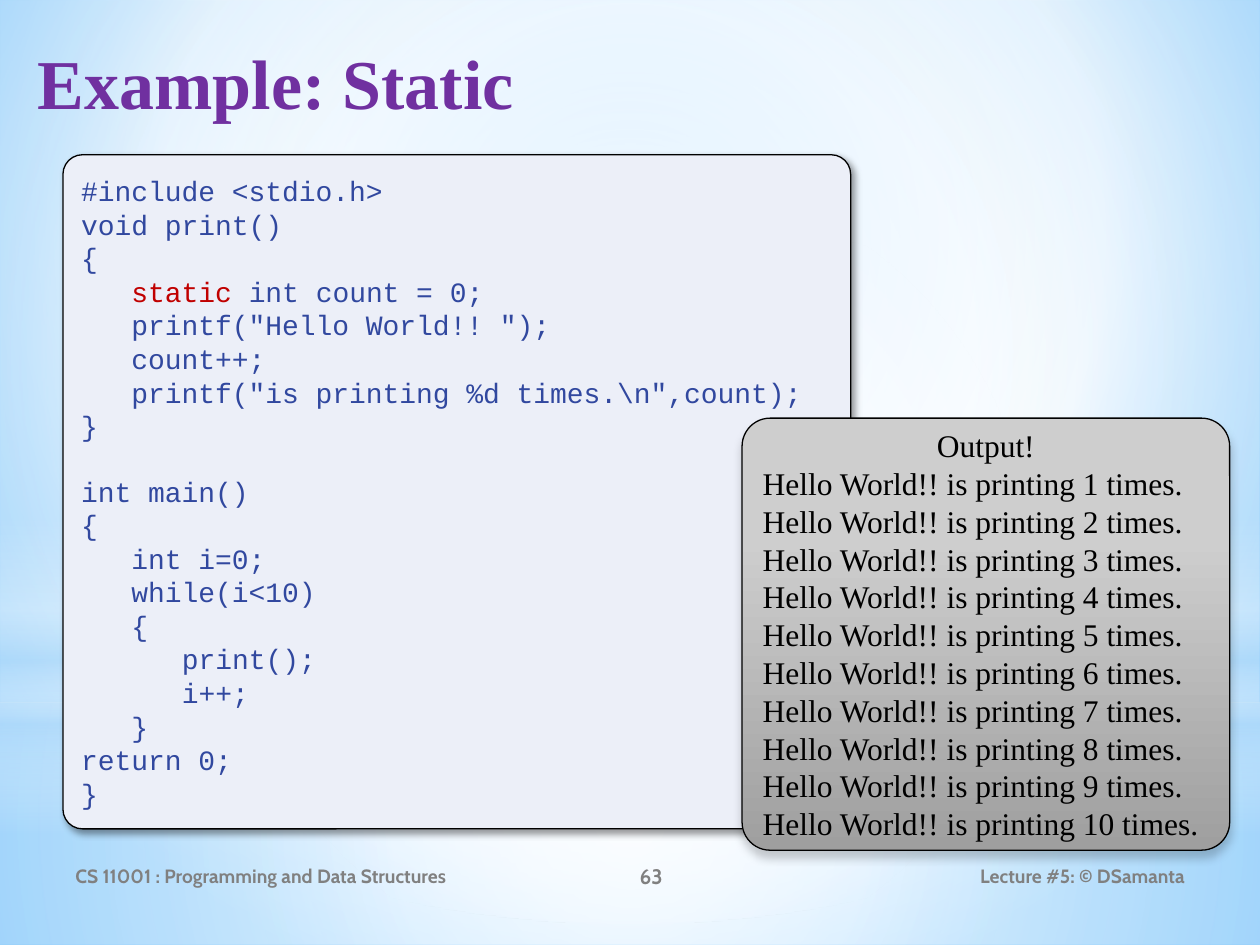
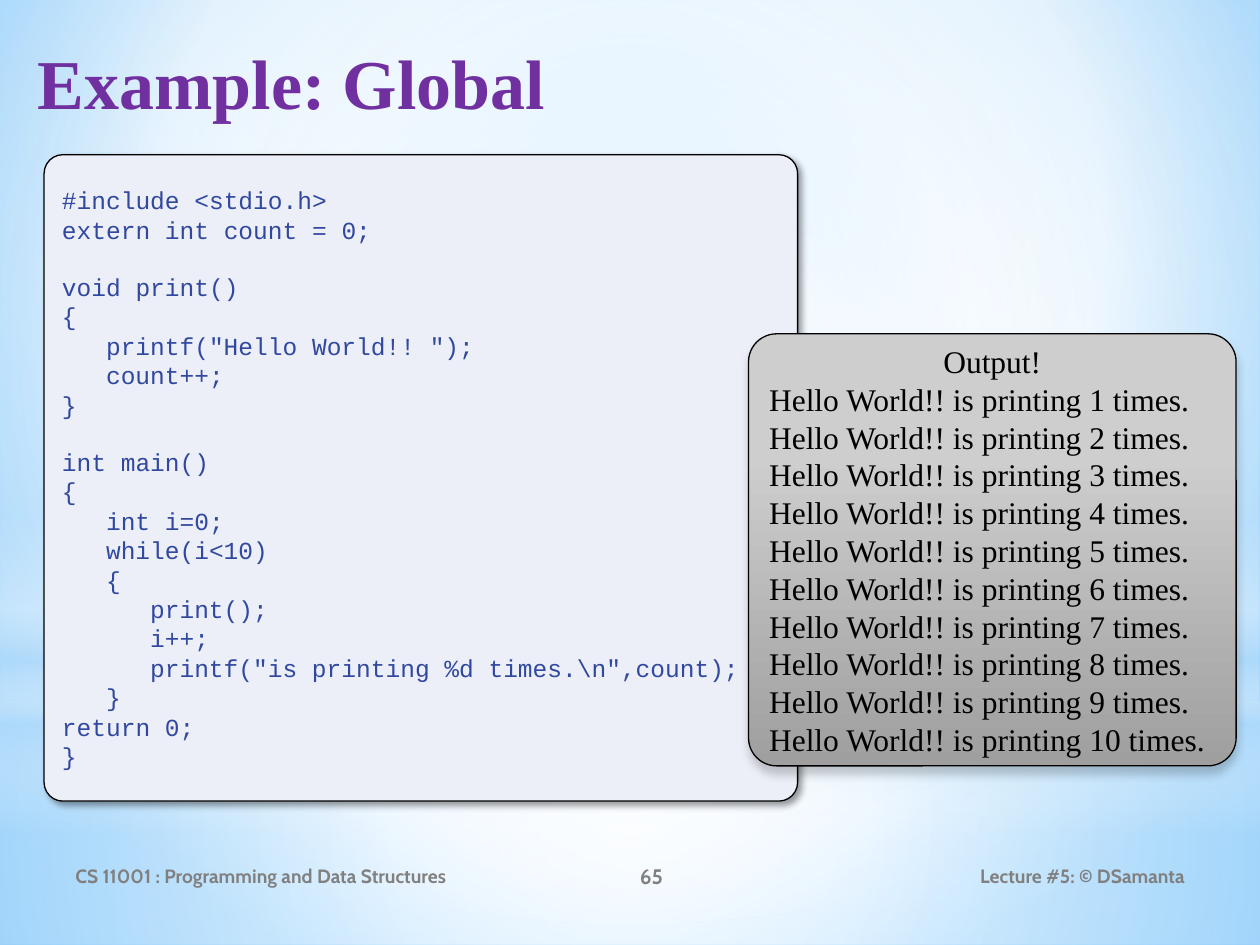
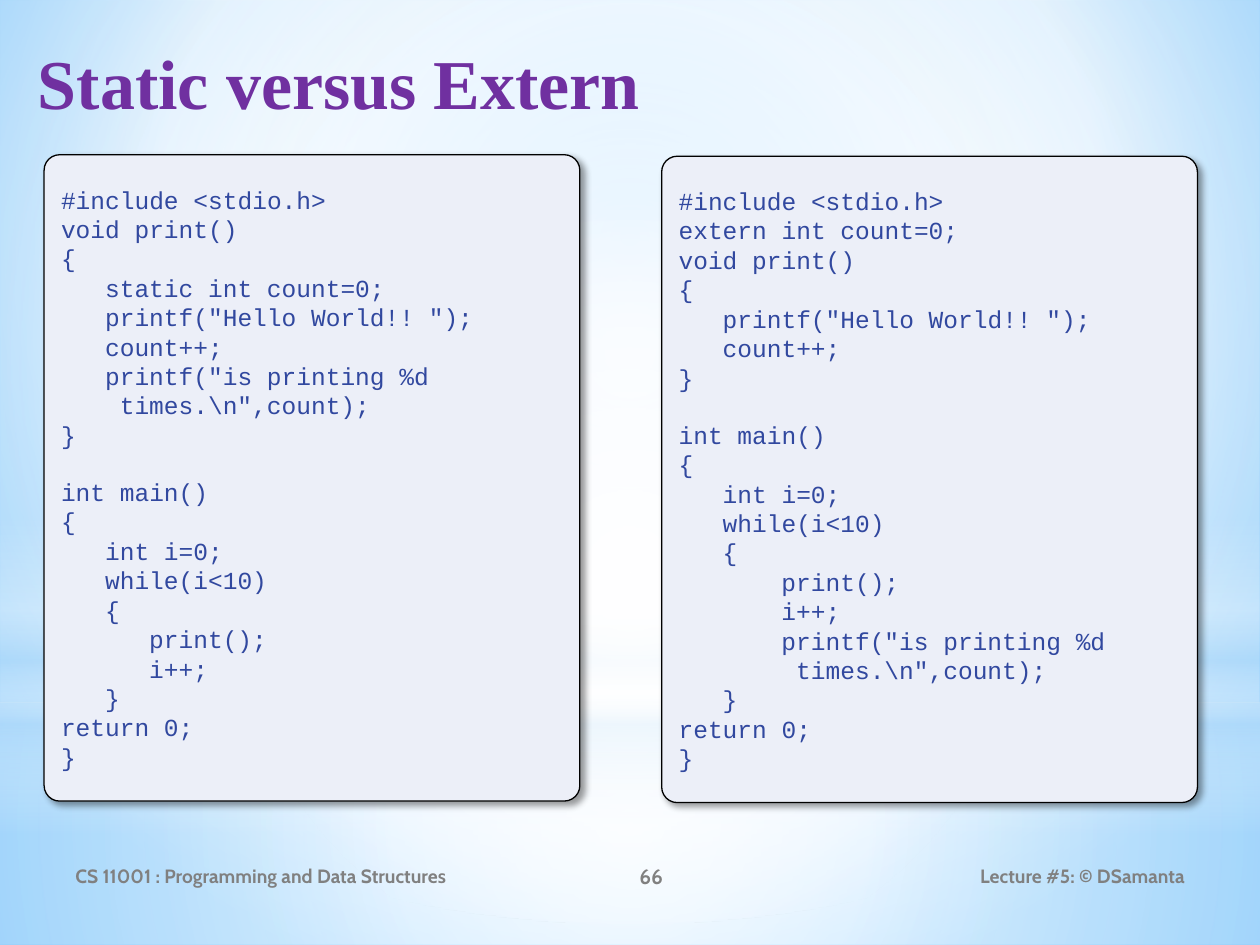
from dataclasses import dataclass
from typing import NamedTuple

from lxml import etree
from pptx import Presentation
from pptx.dml.color import RGBColor
from pptx.enum.shapes import MSO_SHAPE
from pptx.enum.text import MSO_ANCHOR, PP_ALIGN
from pptx.oxml.ns import qn
from pptx.util import Cm, Pt

LEFT, CENTER, RIGHT = PP_ALIGN.LEFT, PP_ALIGN.CENTER, PP_ALIGN.RIGHT
TOP, MIDDLE = MSO_ANCHOR.TOP, MSO_ANCHOR.MIDDLE
RECTANGLE, OVAL = MSO_SHAPE.RECTANGLE, MSO_SHAPE.OVAL
ROUNDED = MSO_SHAPE.ROUNDED_RECTANGLE

COLORS = {
    "title": "7030A0", "footer": "808080", "code": "31489F", "keyword": "C00000",
    "code_fill": "ECEFF8", "black": "000000", "white": "FFFFFF", "mist": "B4DCFA",
    "sky_light": "9ED5FF", "sky": "5BB9FF", "grey_light": "CECECE", "grey": "9F9F9F",
}
SERIF, MONO, FOOTER_FONT = "Times New Roman", "Courier New", "Cabin"
TITLE_ONLY = 5
MONO_ADVANCE, MONO_LINE = 0.6, 1.133  # Courier New metrics, in ems


class Box(NamedTuple):
    """Left, top, width and height in centimetres."""
    left: float
    top: float
    width: float
    height: float

    def lengths(self) -> list:
        return [Cm(value) for value in self]


class Stop(NamedTuple):
    position: int
    color: str
    opacity: int = 100


class Gradient(NamedTuple):
    """Runs from top to bottom, or outwards from focus (left, top, right, bottom insets)."""
    stops: list[Stop]
    focus: tuple | None = None


class Shadow(NamedTuple):
    opacity: int
    blur: float
    distance: float
    angle: int


class Glow(NamedTuple):
    outline: int
    box: Box
    gradient: Gradient


class Footer(NamedTuple):
    text: str
    box: Box
    align: int
    size: int = 11


@dataclass
class CodeCard:
    box: Box
    source: str
    size: int = 14
    keyword: str = ""


@dataclass
class Example:
    title: str
    page: int
    cards: list[CodeCard]
    output_box: Box | None = None


CENTERED = (50, 50, 50, 50)
BACKDROP = Gradient([Stop(0, "sky_light"), Stop(60, "white"), Stop(100, "sky")], (20, 10, 20, 60))
GLOWS = [
    Glow(RECTANGLE, Box(0, 14.17, 25.4, 4.88), Gradient(
        [Stop(0, "white", 91), Stop(37, "white", 76), Stop(100, "mist", 79)], CENTERED)),
    Glow(RECTANGLE, Box(0, 0, 25.4, 14.17), Gradient(
        [Stop(0, "white", 89), Stop(48, "white", 62), Stop(100, "mist", 79)], CENTERED)),
    Glow(RECTANGLE, Box(0, 10.46, 25.4, 6.35), Gradient(
        [Stop(0, "white", 0), Stop(29, "white", 30), Stop(45, "mist", 40),
         Stop(55, "white", 26), Stop(65, "mist", 60), Stop(100, "white", 0)])),
    Glow(OVAL, Box(0, 4.45, 25.4, 14.17), Gradient(
        [Stop(0, "white"), Stop(56, "white", 0)], CENTERED)),
]
OUTPUT_FILL = Gradient([Stop(28, "grey_light"), Stop(100, "grey")])
CODE_SHADOW, OUTPUT_SHADOW = Shadow(40, 4, 3, 45), Shadow(20, 5, 4, 90)
TITLE_BOX = Box(0.51, 0.53, 24.21, 3.18)
OUTPUT_LINES = ["Output!"] + [f"Hello World!! is printing {n} times." for n in range(1, 11)]

EXAMPLES = [
    Example("Example: Static", 63, [CodeCard(Box(1.27, 3.12, 15.88, 13.59), r"""#include <stdio.h>
void print()
{
   static int count = 0;
   printf("Hello World!! ");
   count++;
   printf("is printing %d times.\n",count);
}

int main()
{
   int i=0;
   while(i<10)
   {
      print();
      i++;
   }
return 0;
}""", 16, "static ")], Box(14.96, 8.43, 9.83, 8.71)),
    Example("Example: Global", 65, [CodeCard(Box(0.89, 3.12, 15.19, 13.03), r"""#include <stdio.h>
extern int count = 0;

void print()
{
   printf("Hello World!! ");
   count++;
}

int main()
{
   int i=0;
   while(i<10)
   {
      print();
      i++;
      printf("is printing %d times.\n",count);
   }
return 0;
}""")], Box(15.09, 6.73, 9.83, 8.71)),
    Example("Static versus Extern", 66, [
        CodeCard(Box(0.89, 3.12, 10.8, 13.03), r"""#include <stdio.h>
void print()
{
   static int count=0;
   printf("Hello World!! ");
   count++;
   printf("is printing %d
    times.\n",count);
}

int main()
{
   int i=0;
   while(i<10)
   {
      print();
      i++;
   }
return 0;
}"""),
        CodeCard(Box(13.34, 3.15, 10.8, 13.03), r"""#include <stdio.h>
extern int count=0;
void print()
{
   printf("Hello World!! ");
   count++;
}

int main()
{
   int i=0;
   while(i<10)
   {
       print();
       i++;
       printf("is printing %d
        times.\n",count);
   }
return 0;
}"""),
    ]),
]


def rgb(color: str) -> RGBColor:
    return RGBColor.from_string(COLORS[color])


def add_color(parent, color: str, opacity: int) -> None:
    tint = etree.SubElement(parent, qn("a:srgbClr"), val=COLORS[color])
    if opacity < 100:
        etree.SubElement(tint, qn("a:alpha"), val=str(opacity * 1000))


def set_gradient(fill, properties, gradient: Gradient) -> None:
    """Swap the solid fill held in properties for a gradient."""
    fill.solid()
    solid = properties.find(qn("a:solidFill"))
    blend = etree.Element(qn("a:gradFill"), rotWithShape="1")
    stops = etree.SubElement(blend, qn("a:gsLst"))
    for stop in gradient.stops:
        mark = etree.SubElement(stops, qn("a:gs"), pos=str(stop.position * 1000))
        add_color(mark, stop.color, stop.opacity)
    if gradient.focus:
        circle = etree.SubElement(blend, qn("a:path"), path="circle")
        insets = {side: str(inset * 1000) for side, inset in zip("ltrb", gradient.focus)}
        etree.SubElement(circle, qn("a:fillToRect"), insets)
    else:
        etree.SubElement(blend, qn("a:lin"), ang="5400000", scaled="0")
    properties.replace(solid, blend)


def style_runs(paragraph, font: str, size: int, color: str, bold: bool = False) -> None:
    for run in paragraph.runs:
        run.font.name, run.font.size, run.font.bold = font, Pt(size), bold
        run.font.color.rgb = rgb(color)


def dress_master(master, slide) -> None:
    """Paint the backdrop and move the glows from the slide to the master."""
    background = master.background
    background.fill.solid()
    set_gradient(background.fill, master.element.find(".//" + qn("p:bgPr")), BACKDROP)
    for index, glow in enumerate(GLOWS):
        light = slide.shapes.add_shape(glow.outline, *glow.box.lengths())
        light.shadow.inherit = False
        light.line.fill.background()
        set_gradient(light.fill, light.element.spPr, glow.gradient)
        light.element.nvSpPr.cNvPr.set("id", str(20 + index))
        master.shapes.element.insert(2 + index, light.element)


def add_title(slide, text: str) -> None:
    title = slide.shapes.title
    title.left, title.top, title.width, title.height = TITLE_BOX.lengths()
    frame = title.text_frame
    frame.text = text
    frame.vertical_anchor, frame.margin_top = TOP, Cm(0.27)
    frame.paragraphs[0].alignment = LEFT
    style_runs(frame.paragraphs[0], SERIF, 40, "title", bold=True)


def add_footers(slide, page: int) -> None:
    for footer in (
        Footer("CS 11001 : Programming and Data Structures", Box(1.27, 17.15, 9.32, 1.02), LEFT),
        Footer(str(page), Box(10.59, 17.15, 5.08, 1.02), CENTER, 12),
        Footer("Lecture #5: © DSamanta", Box(17.15, 17.15, 6.99, 1.02), RIGHT),
    ):
        frame = slide.shapes.add_textbox(*footer.box.lengths()).text_frame
        frame.word_wrap, frame.vertical_anchor = True, MIDDLE
        frame.text = footer.text
        frame.paragraphs[0].alignment = footer.align
        style_runs(frame.paragraphs[0], FOOTER_FONT, footer.size, "footer", bold=True)


def add_card(slide, box: Box, rounding: float, shadow: Shadow, lines: list[str]):
    """Add an outlined, shadowed rounded card with one paragraph per line."""
    card = slide.shapes.add_shape(ROUNDED, *box.lengths())
    card.adjustments[0] = rounding
    card.line.color.rgb, card.line.width = rgb("black"), Pt(0.75)
    card.shadow.inherit = False
    outer = etree.SubElement(
        card.element.spPr.find(qn("a:effectLst")), qn("a:outerShdw"),
        blurRad=str(Pt(shadow.blur)), dist=str(Pt(shadow.distance)),
        dir=str(shadow.angle * 60000), algn="tl", rotWithShape="0")
    add_color(outer, "black", shadow.opacity)
    frame = card.text_frame
    frame.word_wrap, frame.vertical_anchor = True, MIDDLE
    frame.text = "\n".join(lines)
    for paragraph in frame.paragraphs:
        paragraph.alignment = LEFT
    return card


def add_code(slide, code: CodeCard) -> None:
    """Show source code, with its indents and gaps as paragraph settings."""
    source = code.source.split("\n")
    lines = [line for line in source if line]
    card = add_card(slide, code.box, 0.029, CODE_SHADOW, [line.lstrip() for line in lines])
    card.fill.solid()
    card.fill.fore_color.rgb = rgb("code_fill")
    after_gap = [not before for before, line in zip(["#"] + source, source) if line]
    for paragraph, line, gap in zip(card.text_frame.paragraphs, lines, after_gap):
        depth = len(line) - len(line.lstrip())
        indent = Pt(depth * MONO_ADVANCE * code.size)
        paragraph._p.get_or_add_pPr().set("marL", str(indent))
        if gap:
            paragraph.space_before = Pt(MONO_LINE * code.size)
        text = paragraph.text
        marked = bool(code.keyword) and text.startswith(code.keyword)
        if marked:
            paragraph.runs[0].text = code.keyword
            paragraph.add_run().text = text.removeprefix(code.keyword)
        style_runs(paragraph, MONO, code.size, "code")
        if marked:
            paragraph.runs[0].font.color.rgb = rgb("keyword")


def add_output(slide, box: Box) -> None:
    card = add_card(slide, box, 0.065, OUTPUT_SHADOW, OUTPUT_LINES)
    set_gradient(card.fill, card.element.spPr, OUTPUT_FILL)
    card.text_frame.paragraphs[0].alignment = CENTER
    for paragraph in card.text_frame.paragraphs:
        style_runs(paragraph, SERIF, 18, "black")


def main() -> None:
    deck = Presentation()
    deck.slide_width, deck.slide_height = Cm(25.4), Cm(19.05)
    for example in EXAMPLES:
        slide = deck.slides.add_slide(deck.slide_layouts[TITLE_ONLY])
        add_title(slide, example.title)
        add_footers(slide, example.page)
        for code in example.cards:
            add_code(slide, code)
        if example.output_box:
            add_output(slide, example.output_box)
    dress_master(deck.slide_master, deck.slides[0])
    deck.save("out.pptx")


if __name__ == "__main__":
    main()
